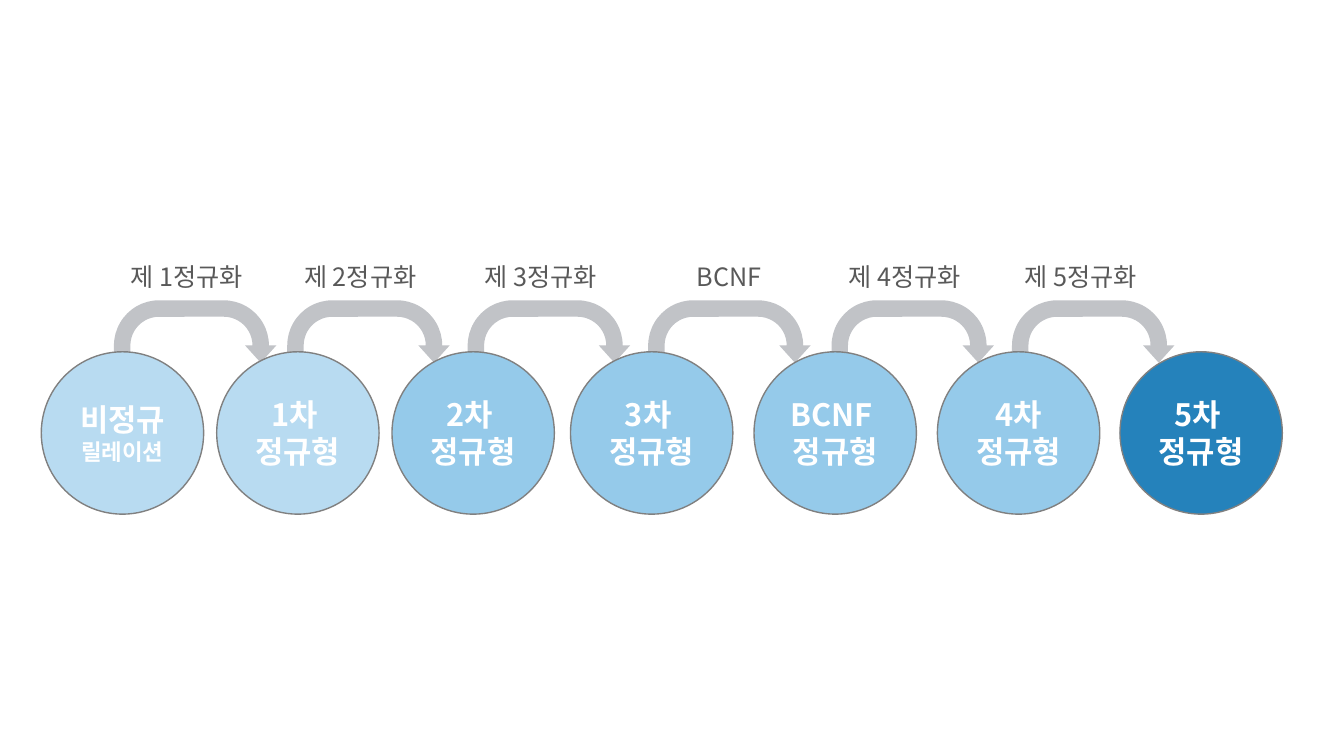
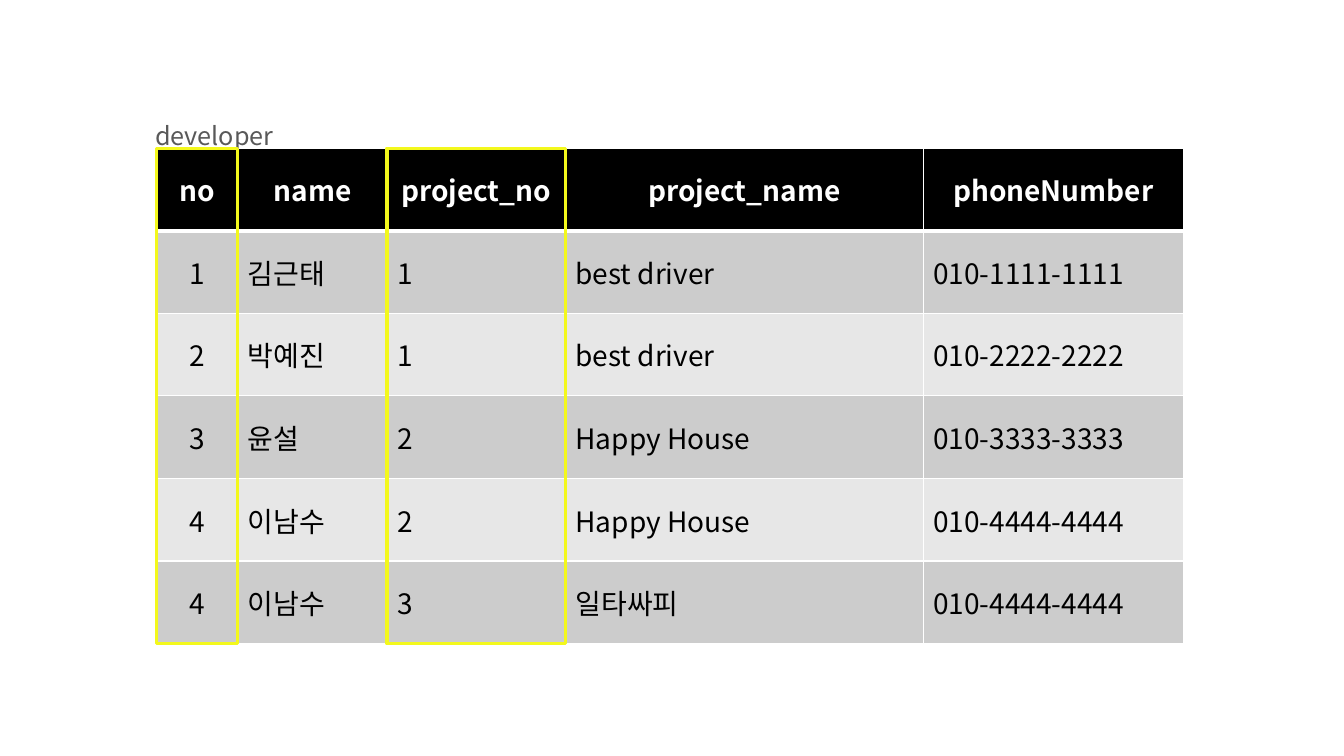
from pptx import Presentation
from pptx.dml.color import RGBColor
from pptx.enum.shapes import MSO_SHAPE
from pptx.enum.text import MSO_ANCHOR, PP_ALIGN
from pptx.oxml.ns import qn
from pptx.util import Pt
from lxml.etree import SubElement

FONT = "Noto Sans CJK KR"
WHITE, BLACK, LABEL_GRAY = "FFFFFF", "000000", "595959"
ARROW_GRAY, OUTLINE_GRAY, HIGHLIGHT = "C1C3C7", "808080", "F3F81C"
PALE_BLUE, SKY_BLUE, DEEP_BLUE = "B8DBF1", "95CAEA", "2582BB"
BANDS = ("CCCCCC", "E7E7E7")

# Circles: left, fill, first line, second line, size of the second line
FORMS = [
    (29.5, PALE_BLUE, "비정규", "릴레이션", 16),
    (154.8, PALE_BLUE, "1차 ", "정규형", 22),
    (280, SKY_BLUE, "2차 ", "정규형", 22),
    (407.5, SKY_BLUE, "3차 ", "정규형", 22),
    (538.6, SKY_BLUE, "BCNF ", "정규형", 22),
    (669.6, SKY_BLUE, "4차", "정규형", 22),
    (800, DEEP_BLUE, "5차 ", "정규형", 22),
]
# Arrows: left, label, offset of the label, alignment
STEPS = [
    (81.4, "제 1정규화", 5, PP_ALIGN.LEFT),
    (205.2, "제 2정규화", 5, PP_ALIGN.LEFT),
    (334.1, "제 3정규화", 5, PP_ALIGN.LEFT),
    (463, "BCNF", 5, PP_ALIGN.CENTER),
    (594, "제 4정규화", 5, PP_ALIGN.LEFT),
    (722.9, "제 5정규화", 2, PP_ALIGN.LEFT),
]
DEVELOPERS = [
    ("no", "name", "project_no", "project_name", "phoneNumber"),
    ("1", "김근태", "1", "best driver", "010-1111-1111"),
    ("2", "박예진", "1", "best driver", "010-2222-2222"),
    ("3", "윤설", "2", "Happy House", "010-3333-3333"),
    ("4", "이남수", "2", "Happy House", "010-4444-4444"),
    ("4", "이남수", "3", "일타싸피", "010-4444-4444"),
]
COLUMN_WIDTHS = (58.3, 106.6, 127.4, 255.6, 185.8)
KEY_COLUMNS = (0, 2)


def rgb(value):
    return RGBColor.from_string(value)


def format_paragraph(paragraph, size, color, bold=False, align=PP_ALIGN.LEFT):
    paragraph.alignment = align
    for run in paragraph.runs:
        run.font.name = FONT
        run.font.size = Pt(size)
        run.font.bold = bold
        run.font.color.rgb = rgb(color)
        SubElement(run.font._element, qn("a:ea"), typeface=FONT)


def add_label(slide, left, top, width, text, align=PP_ALIGN.LEFT):
    box = slide.shapes.add_textbox(Pt(left), Pt(top), Pt(width), Pt(50.4))
    frame = box.text_frame
    frame.word_wrap = True
    frame.vertical_anchor = MSO_ANCHOR.MIDDLE
    frame.text = text
    frame.paragraphs[0].line_spacing = 0.9
    format_paragraph(frame.paragraphs[0], 18, LABEL_GRAY, align=align)


def add_plain_shape(slide, kind, left, top, width, height, fill=None, line=None, line_width=1):
    shape = slide.shapes.add_shape(kind, Pt(left), Pt(top), Pt(width), Pt(height))
    shape.shadow.inherit = False
    if fill:
        shape.fill.solid()
        shape.fill.fore_color.rgb = rgb(fill)
    else:
        shape.fill.background()
    if line:
        shape.line.color.rgb = rgb(line)
        shape.line.width = Pt(line_width)
    else:
        shape.line.fill.background()
    return shape


def add_step_arrow(slide, left, top):
    arrow = add_plain_shape(slide, MSO_SHAPE.U_TURN_ARROW, left, top, 116, 44.6, ARROW_GRAY)
    for index, value in enumerate((0.264, 0.25, 0.276, 0.75, 1)):
        arrow.adjustments[index] = value


def add_form_circle(slide, left, top, fill, first, second, second_size):
    circle = add_plain_shape(slide, MSO_SHAPE.OVAL, left, top, 116, 116, fill, OUTLINE_GRAY)
    frame = circle.text_frame
    frame.vertical_anchor = MSO_ANCHOR.MIDDLE
    frame.text = f"{first}\n{second}"
    for paragraph, size in zip(frame.paragraphs, (22, second_size)):
        format_paragraph(paragraph, size, WHITE, True, PP_ALIGN.CENTER)


def build_normalization_slide(slide, top):
    for left, *_ in STEPS:
        add_step_arrow(slide, left, top + 41)
    for left, *form in FORMS:
        add_form_circle(slide, left, top + 77.8, *form)
    for left, text, offset, align in STEPS:
        add_label(slide, left + offset, top, 105.8, text, align)


def add_cell_borders(cell, bottom_width):
    properties = cell._tc.get_or_add_tcPr()
    for side, width in (("L", 1), ("R", 1), ("T", 1), ("B", bottom_width)):
        border = SubElement(properties, qn(f"a:ln{side}"), w=str(Pt(width)))
        fill = SubElement(border, qn("a:solidFill"))
        SubElement(fill, qn("a:srgbClr"), val=WHITE)


def add_developer_table(slide, left, top, row_height):
    frame = slide.shapes.add_table(
        len(DEVELOPERS), len(COLUMN_WIDTHS), Pt(left), Pt(top),
        Pt(sum(COLUMN_WIDTHS)), Pt(row_height * len(DEVELOPERS)))
    table = frame.table
    table.horz_banding = False
    for column, width in zip(table.columns, COLUMN_WIDTHS):
        column.width = Pt(width)
    for row_index, values in enumerate(DEVELOPERS):
        table.rows[row_index].height = Pt(row_height)
        header = row_index == 0
        for column_index, value in enumerate(values):
            cell = table.cell(row_index, column_index)
            cell.text = value
            cell.vertical_anchor = MSO_ANCHOR.MIDDLE
            add_cell_borders(cell, 3 if header else 1)
            cell.fill.solid()
            cell.fill.fore_color.rgb = rgb(BLACK if header else BANDS[(row_index - 1) % 2])
            centered = header or column_index == 0
            format_paragraph(cell.text_frame.paragraphs[0], 20, WHITE if header else BLACK,
                             header, PP_ALIGN.CENTER if centered else PP_ALIGN.LEFT)


def build_developer_slide(slide, left, top):
    row_height = 59
    add_developer_table(slide, left, top, row_height)
    add_label(slide, left - 7.9, top - 33.1, 145.4, "developer")
    for index in KEY_COLUMNS:
        add_plain_shape(slide, MSO_SHAPE.RECTANGLE, left + sum(COLUMN_WIDTHS[:index]), top,
                        COLUMN_WIDTHS[index], row_height * len(DEVELOPERS),
                        line=HIGHLIGHT, line_width=2.2)


def main():
    presentation = Presentation()
    presentation.slide_width, presentation.slide_height = Pt(960), Pt(540)
    blank = presentation.slide_layouts[6]
    build_normalization_slide(presentation.slides.add_slide(blank), 173.5)
    build_developer_slide(presentation.slides.add_slide(blank), 111.6, 105.8)
    presentation.save("out.pptx")


if __name__ == "__main__":
    main()
